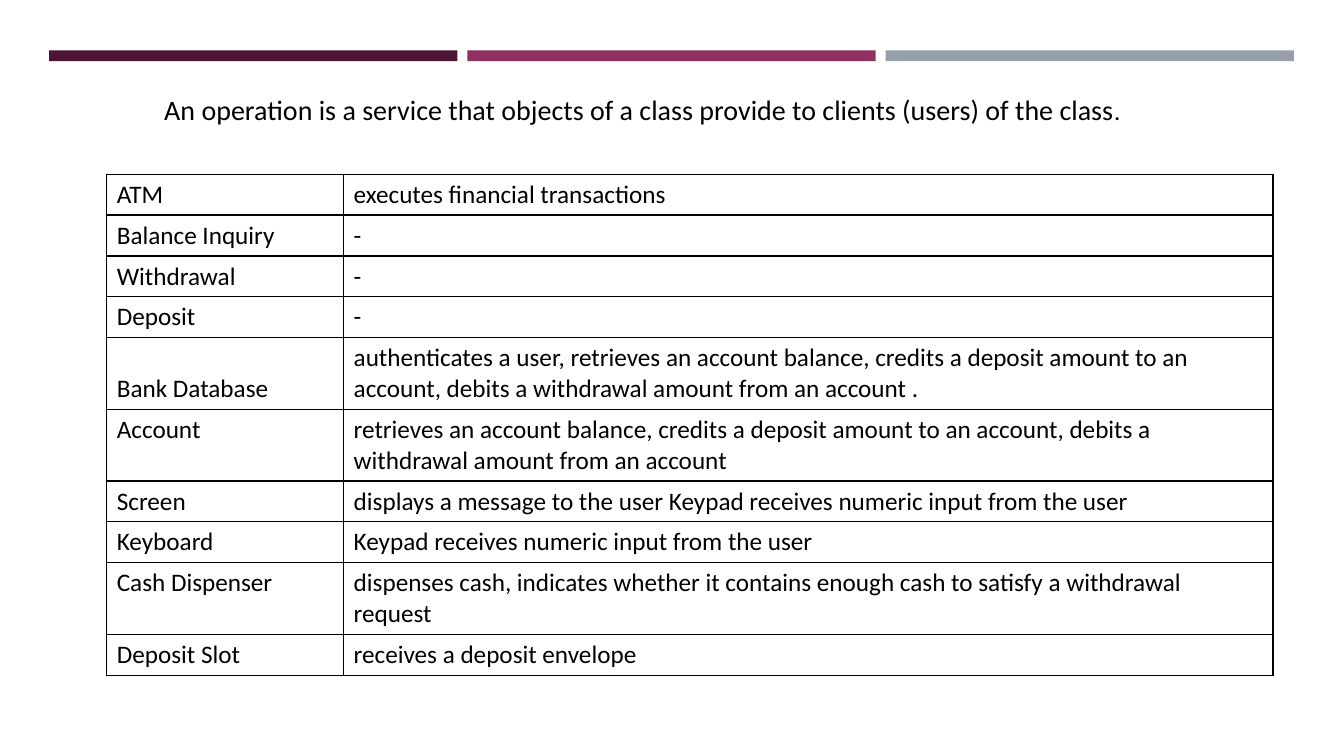
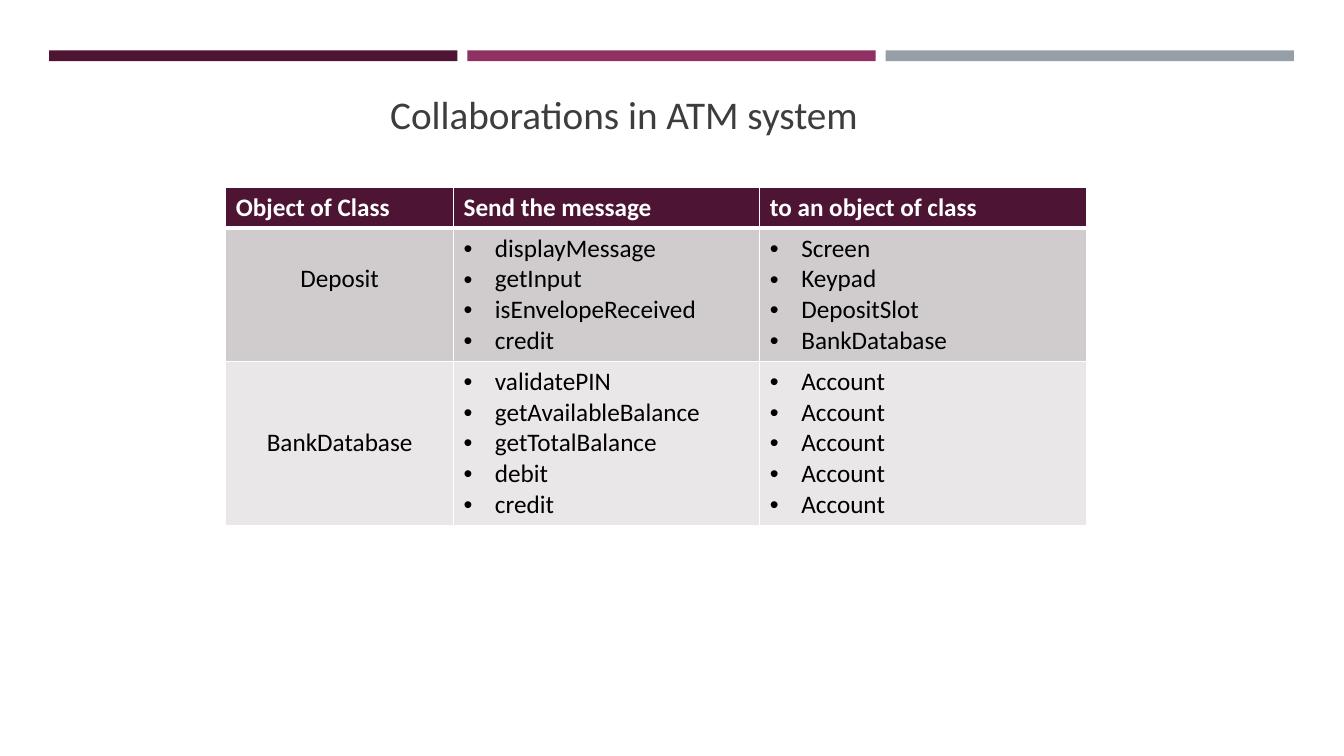
from dataclasses import dataclass

import lxml.etree as etree
import pptx
import pptx.dml.color
import pptx.enum.shapes
import pptx.enum.text
import pptx.oxml.ns
import pptx.util

Cm, Pt = pptx.util.Cm, pptx.util.Pt
Align = pptx.enum.text.PP_ALIGN
Anchor = pptx.enum.text.MSO_ANCHOR
qn = pptx.oxml.ns.qn


@dataclass(frozen=True)
class Theme:
    font: str = "Calibri"
    plum: str = "4D1434"
    berry: str = "903163"
    steel: str = "969FA7"
    heading: str = "3D3D3D"
    black: str = "000000"
    white: str = "FFFFFF"
    dark_row: str = "D0CCCE"
    light_row: str = "E9E7E8"
    title_size: int = 28
    lead_size: int = 20
    body_size: int = 18


THEME = Theme()
TITLE_ONLY, BLANK = 5, 6
LINE_ROW, TWO_LINE_ROW = 1.03, 1.8

OPERATIONS = [
    ("ATM", "executes financial transactions"),
    ("Balance Inquiry", "-"),
    ("Withdrawal", "-"),
    ("Deposit", "-"),
    ("Bank Database", "authenticates a user, retrieves an account balance, credits a deposit "
                      "amount to an account, debits a withdrawal amount from an account ."),
    ("Account", "retrieves an account balance, credits a deposit amount to an account, "
                "debits a withdrawal amount from an account"),
    ("Screen", "displays a message to the user Keypad receives numeric input from the user"),
    ("Keyboard", "Keypad receives numeric input from the user"),
    ("Cash Dispenser", "dispenses cash, indicates whether it contains enough cash to satisfy "
                       "a withdrawal request"),
    ("Deposit Slot", "receives a deposit envelope"),
]
TWO_LINE_CLASSES = {"Bank Database", "Account", "Cash Dispenser"}

MESSAGE_HEADINGS = ["Object of Class", "Send the message", "to an object of class"]
MESSAGES = {
    "Deposit": [
        ("displayMessage", "Screen"),
        ("getInput", "Keypad"),
        ("isEnvelopeReceived", "DepositSlot"),
        ("credit", "BankDatabase"),
    ],
    "BankDatabase": [
        (message, "Account")
        for message in ("validatePIN", "getAvailableBalance", "getTotalBalance",
                        "debit", "credit")
    ],
}


def rgb(value):
    return pptx.dml.color.RGBColor.from_string(value)


class Deck:
    def __init__(self, theme):
        self.theme = theme
        self.presentation = pptx.Presentation()
        self.presentation.slide_width = Cm(33.87)
        self.presentation.slide_height = Cm(19.05)
        self.slide = None

    def new_slide(self, layout):
        """Start a slide with the three bands across its top."""
        layouts = self.presentation.slide_layouts
        self.slide = self.presentation.slides.add_slide(layouts[layout])
        for i, color in enumerate((self.theme.plum, self.theme.berry, self.theme.steel)):
            band = self.slide.shapes.add_shape(
                pptx.enum.shapes.MSO_SHAPE.RECTANGLE,
                Cm(1.24 + 10.54 * i), Cm(1.27), Cm(10.29), Cm(0.27))
            band.shadow.inherit = False
            band.fill.solid()
            band.fill.fore_color.rgb = rgb(color)
            band.line.fill.background()

    def add_run(self, paragraph, text, size, color, bold=False):
        run = paragraph.add_run()
        run.text = text
        run.font.name = self.theme.font
        run.font.size = Pt(size)
        run.font.bold = bold
        run.font.color.rgb = rgb(color)

    def title(self, text, left, top, width, height):
        heading = self.slide.shapes.title
        heading.left, heading.top = Cm(left), Cm(top)
        heading.width, heading.height = Cm(width), Cm(height)
        frame = heading.text_frame
        frame.word_wrap = True
        frame.auto_size = pptx.enum.text.MSO_AUTO_SIZE.NONE
        frame.vertical_anchor = Anchor.MIDDLE
        paragraph = frame.paragraphs[0]
        paragraph.alignment = Align.JUSTIFY
        paragraph.line_spacing = 1.3
        paragraph.space_before = Pt(5.6)
        paragraph.space_after = Pt(6)
        self.add_run(paragraph, text, self.theme.title_size, self.theme.heading)

    def text(self, runs, left, top, width, height):
        """Add a one-paragraph text box from (text, size) runs."""
        box = self.slide.shapes.add_textbox(Cm(left), Cm(top), Cm(width), Cm(height))
        frame = box.text_frame
        frame.word_wrap = True
        frame.auto_size = pptx.enum.text.MSO_AUTO_SIZE.SHAPE_TO_FIT_TEXT
        for text, size in runs:
            self.add_run(frame.paragraphs[0], text, size, self.theme.black)

    def table(self, left, top, widths, heights):
        frame = self.slide.shapes.add_table(
            len(heights), len(widths), Cm(left), Cm(top), Cm(sum(widths)), Cm(sum(heights)))
        grid = frame.table
        grid.first_row = grid.horz_banding = False
        for column, width in zip(grid.columns, widths):
            column.width = Cm(width)
        for row, height in zip(grid.rows, heights):
            row.height = Cm(height)
        return grid

    def cell(self, cell, lines, border, fill=None, color=None, bold=False,
             align=Align.LEFT, bullets=False, thick=""):
        """Fill one cell; thick names the sides (L, R, T, B) with a 3 pt border."""
        if fill:
            cell.fill.solid()
            cell.fill.fore_color.rgb = rgb(fill)
        else:
            cell.fill.background()
        self.borders(cell, border, thick)
        for i, line in enumerate(lines):
            frame = cell.text_frame
            paragraph = frame.add_paragraph() if i else frame.paragraphs[0]
            paragraph.alignment = align
            if bullets:
                self.bullet(paragraph)
            self.add_run(paragraph, line, self.theme.body_size,
                         color or self.theme.black, bold)

    @staticmethod
    def borders(cell, color, thick):
        properties = cell._tc.get_or_add_tcPr()
        for i, side in enumerate("LRTB"):
            width = Pt(3 if side in thick else 1)
            edge = etree.Element(qn("a:ln" + side), w=str(width))
            solid = etree.SubElement(edge, qn("a:solidFill"))
            etree.SubElement(solid, qn("a:srgbClr"), val=color)
            properties.insert(i, edge)

    @staticmethod
    def bullet(paragraph):
        properties = paragraph._p.get_or_add_pPr()
        indent = Cm(0.79)
        properties.set("marL", str(indent))
        properties.set("indent", str(-indent))
        etree.SubElement(properties, qn("a:buFont"), typeface="Arial")
        etree.SubElement(properties, qn("a:buChar"), char="•")


def operations_slide(deck):
    theme = deck.theme
    deck.new_slide(BLANK)
    heights = [TWO_LINE_ROW if name in TWO_LINE_CLASSES else LINE_ROW
               for name, _ in OPERATIONS]
    operations = deck.table(2.69, 4.39, [5.97, 23.42], heights)
    for r, row in enumerate(OPERATIONS):
        for c, text in enumerate(row):
            deck.cell(operations.cell(r, c), [text], theme.black)
            if text == "Bank Database":
                operations.cell(r, c).vertical_anchor = Anchor.BOTTOM
    deck.text([("An operation is a service that objects of a class provide to clients "
                "(users) of the class", theme.lead_size), (".", theme.body_size)],
              3.89, 2.21, 27.03, 1.12)


def collaborations_slide(deck):
    theme = deck.theme
    deck.new_slide(TITLE_ONLY)
    deck.title("Collaborations in ATM system", 9.58, 2.08, 12.73, 1.24)
    messages = deck.table(5.69, 4.72, [5.74, 7.72, 8.23], [LINE_ROW, 3.3, 4.06])
    for c, heading in enumerate(MESSAGE_HEADINGS):
        deck.cell(messages.cell(0, c), [heading], theme.white, theme.plum,
                  theme.white, bold=True, thick="B")
    fills = (theme.dark_row, theme.light_row)
    for r, (sender, calls) in enumerate(MESSAGES.items(), start=1):
        look = dict(border=theme.white, fill=fills[r - 1], thick="T" if r == 1 else "")
        deck.cell(messages.cell(r, 0), [sender], align=Align.CENTER, **look)
        for c, lines in enumerate(zip(*calls), start=1):
            deck.cell(messages.cell(r, c), lines, bullets=True, **look)
    # The first sender sits level with the second of its messages.
    messages.cell(1, 0).margin_top = Cm(0.9)
    messages.cell(2, 0).vertical_anchor = Anchor.MIDDLE


def main():
    deck = Deck(THEME)
    operations_slide(deck)
    collaborations_slide(deck)
    deck.presentation.save("out.pptx")


if __name__ == "__main__":
    main()
